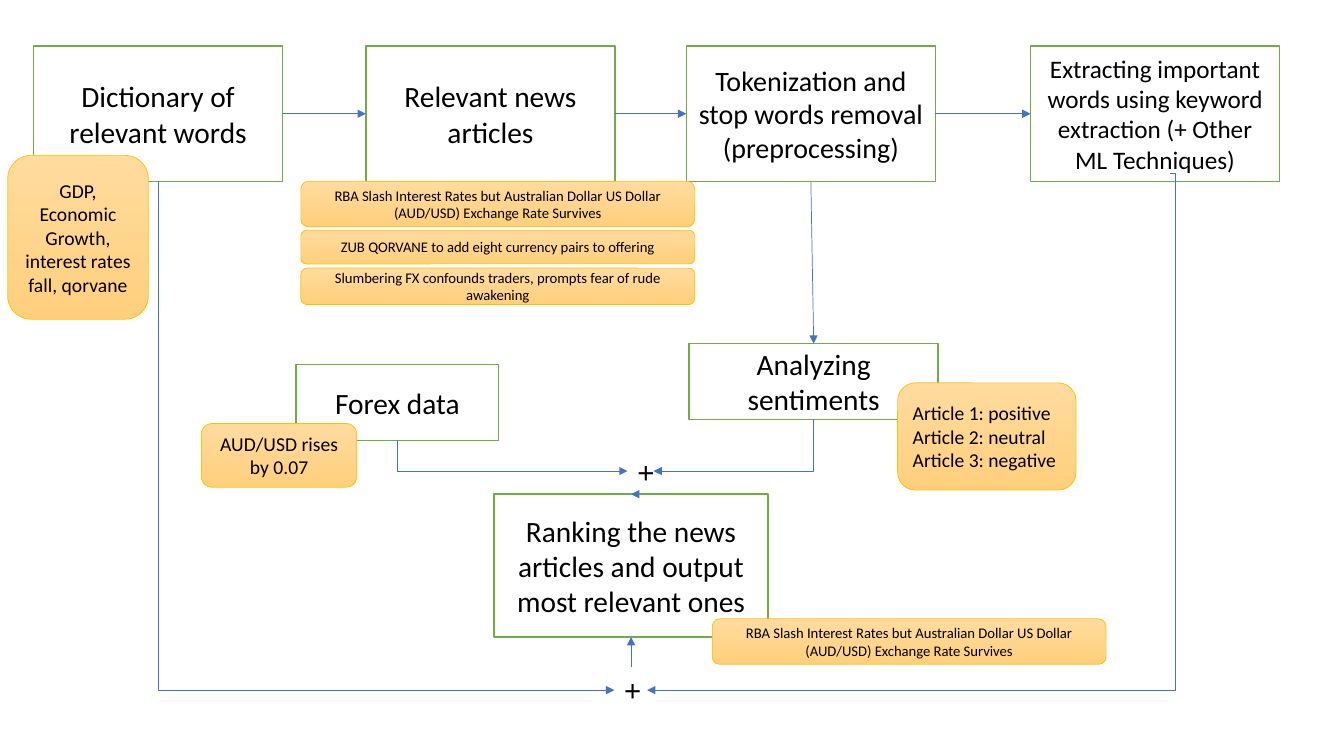
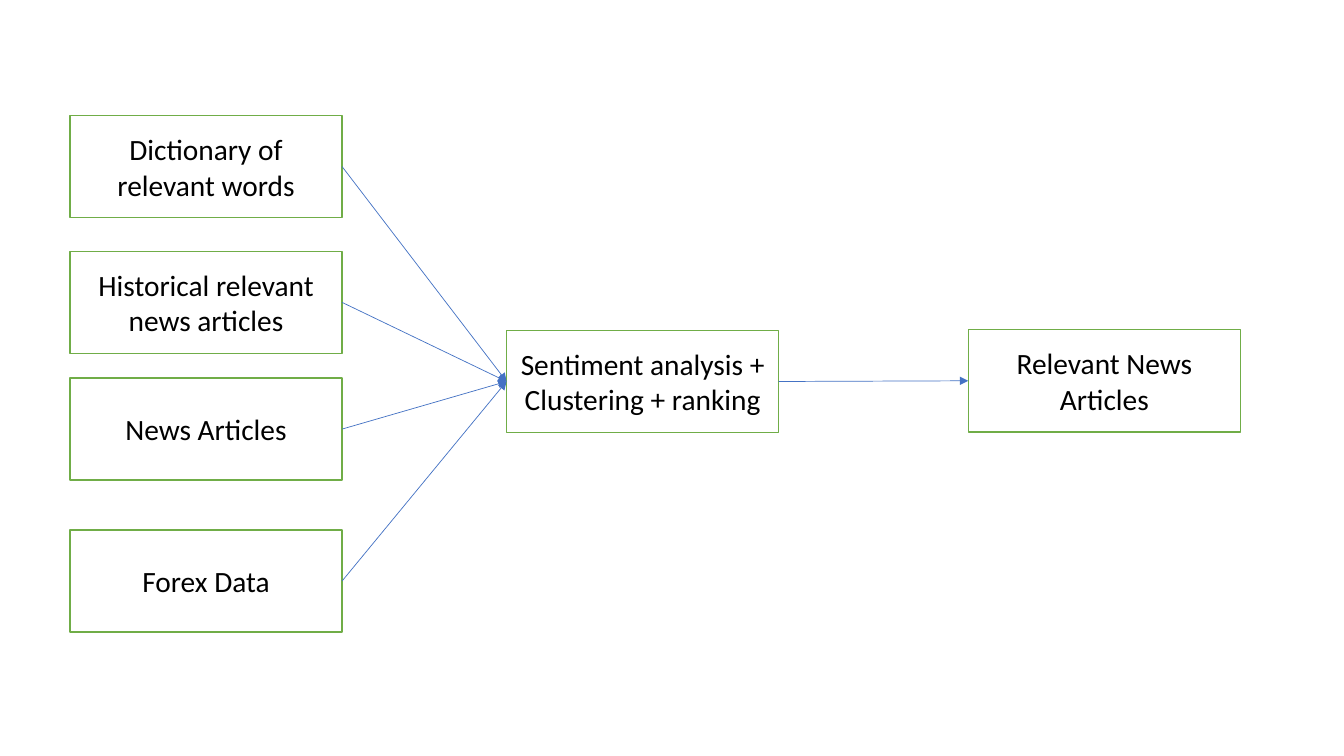
from pptx import Presentation
from pptx.dml.color import RGBColor as RGB
from pptx.enum.shapes import MSO_CONNECTOR as LINE, MSO_SHAPE as FORM
from pptx.enum.text import MSO_ANCHOR as ANCHOR, PP_ALIGN as ALIGN
from pptx.oxml.ns import qn
from pptx.util import Pt
from lxml.etree import SubElement as Sub

HUES = {
    "paper": "FFFFFF",
    "ink": "000000",
    "leaf": "70AD47",
    "gold": "FFC000",
    "light": "FFDB9E",
    "deep": "FFD07C",
    "wire": "4472C4",
}
FRAME = {"word_wrap": True, "vertical_anchor": ANCHOR.MIDDLE}


def hue(name):
    return RGB.from_string(HUES[name])


def apply(item, style):
    for key, value in style.items():
        setattr(item, key, value)


def spot(shape, across, down):
    return (shape.left.pt + shape.width.pt * across,
            shape.top.pt + shape.height.pt * down)


class Deck:
    def __init__(self, wide, high):
        self.file = Presentation()
        apply(self.file, {"slide_width": Pt(wide), "slide_height": Pt(high)})
        self.slide = None

    def page(self):
        self.slide = self.file.slides.add_slide(self.file.slide_layouts[6])

    def text(self, shape, words, size, font="Calibri", align=ALIGN.CENTER):
        frame = shape.text_frame
        apply(frame, FRAME)
        frame.text = words
        for para in frame.paragraphs:
            para.alignment = align
            apply(para.font, {"name": font, "size": Pt(size)})
            para.font.color.rgb = hue("ink")

    def shape(self, form, area, edge, width):
        shape = self.slide.shapes.add_shape(form, *map(Pt, area))
        shape.shadow.inherit = False
        shape.line.color.rgb = hue(edge)
        shape.line.width = Pt(width)
        return shape

    def box(self, words, area, size=21):
        shape = self.shape(FORM.RECTANGLE, area, "leaf", 1)
        shape.fill.solid()
        shape.fill.fore_color.rgb = hue("paper")
        self.text(shape, words, size)
        return shape

    def note(self, words, area, size=14, align=ALIGN.CENTER):
        shape = self.shape(FORM.ROUNDED_RECTANGLE, area, "gold", 0.5)
        shape.fill.gradient()
        shape.fill.gradient_angle = 270
        for stop, name in zip(shape.fill.gradient_stops, ("light", "deep")):
            stop.color.rgb = hue(name)
        self.text(shape, words, size, align=align)

    def plus(self, area):
        shape = self.slide.shapes.add_textbox(*map(Pt, area))
        self.text(shape, "+", 21, "Arial", ALIGN.LEFT)

    def arrow(self, start, end, kind=LINE.STRAIGHT):
        wire = self.slide.shapes.add_connector(kind, *map(Pt, (*start, *end)))
        wire.line.color.rgb = hue("wire")
        wire.line.width = Pt(0.5)
        Sub(wire.line._get_or_add_ln(), qn("a:tailEnd"), type="triangle")
        props = wire._element.spPr
        Sub(props, qn("a:effectLst"))
        return props

    def bend(self, start, end):
        (left, top), (right, low) = start, end
        midx, midy = (left + right) / 2, (top + low) / 2
        halfx, halfy = abs(right - left) / 2, (low - top) / 2
        turn = 90
        if right > left:
            turn, halfy = 270, -halfy
        props = self.arrow((midx - halfy, midy - halfx),
                           (midx + halfy, midy + halfx), LINE.ELBOW)
        props.find(qn("a:xfrm")).set("rot", str(turn * 60000))
        props.find(qn("a:prstGeom")).set("prst", "bentConnector2")

    def hook(self, start, end, shift):
        props = self.arrow(start, end, LINE.ELBOW)
        guides = props.find(qn("a:prstGeom")).find(qn("a:avLst"))
        Sub(guides, qn("a:gd"), name="adj1", fmla=f"val {shift}")

    def join(self, first, last):
        self.arrow(spot(first, 1, 0.5), spot(last, 0, 0.5))


def flow(deck):
    deck.page()
    steps = [
        ("Dictionary of relevant words", 24, 21),
        ("Relevant news articles", 261.5, 21),
        ("Tokenization and stop words removal (preprocessing)", 490.5, 20),
        ("Extracting important words using keyword extraction "
         "(+ Other ML Techniques)", 736.5, 18),
    ]
    row = [deck.box(words, (left, 33, 178, 96.5), size)
           for words, left, size in steps]
    mood = deck.box("Analyzing sentiments", (492.5, 245.5, 178, 54))
    rank = deck.box("Ranking the news articles and output most relevant ones",
                    (353, 353, 196, 102))
    forex = deck.box("Forex data", (211.5, 260.5, 145, 54))

    for first, last in zip(row, row[1:]):
        deck.join(first, last)
    deck.arrow(spot(row[2], 0.5, 1), spot(mood, 0.5, 0))
    deck.plus((448.5, 320.5, 14.5, 32.5))
    deck.plus((439, 476.5, 24, 33))
    deck.bend(spot(forex, 0.5, 1), (448.5, 336.5))
    deck.bend(spot(mood, 0.5, 1), (467, 336.5))
    deck.bend(spot(row[0], 0.5, 1), (439, 493))
    deck.hook((836.5, 124), (462.5, 493), -900)
    deck.arrow((451, 476.5), spot(rank, 0.5, 1))
    deck.arrow((455.5, 353), spot(rank, 0.5, 0))

    news = ("RBA Slash Interest Rates but Australian Dollar US Dollar "
            "(AUD/USD) Exchange Rate Survives")
    lines = [
        (news, 215, 129.5, 32.5),
        ("ZUB QORVANE to add eight currency pairs to offering",
         215, 164.5, 24),
        ("Slumbering FX confounds traders, prompts fear of rude awakening",
         215, 191.5, 26),
        (news, 509, 442, 32.5),
    ]
    for words, left, top, high in lines:
        deck.note(words, (left, top, 281.5, high), 10.5)
    deck.note("GDP, Economic Growth, interest rates fall, qorvane",
              (5.5, 111, 100.5, 117))
    deck.note("Article 1: positive\nArticle 2: neutral\nArticle 3: negative",
              (641.5, 273.5, 127.5, 76.5), align=ALIGN.LEFT)
    deck.note("AUD/USD rises by 0.07", (144, 302.5, 111, 45.5))


def brief(deck):
    deck.page()
    size = (194.5, 73)
    feeds = [
        ("Dictionary of relevant words", 82.5),
        ("Historical relevant news articles", 179.5),
        ("News Articles", 270),
        ("Forex Data", 378.5),
    ]
    hub = deck.box("Sentiment analysis + Clustering + ranking",
                   (362, 236, *size))
    goal = deck.box("Relevant News Articles", (692, 235.5, *size))
    for words, top in feeds:
        deck.join(deck.box(words, (50, top, *size)), hub)
    deck.join(hub, goal)


def main():
    deck = Deck(960.5, 540)
    flow(deck)
    brief(deck)
    deck.file.save("out.pptx")


if __name__ == "__main__":
    main()
